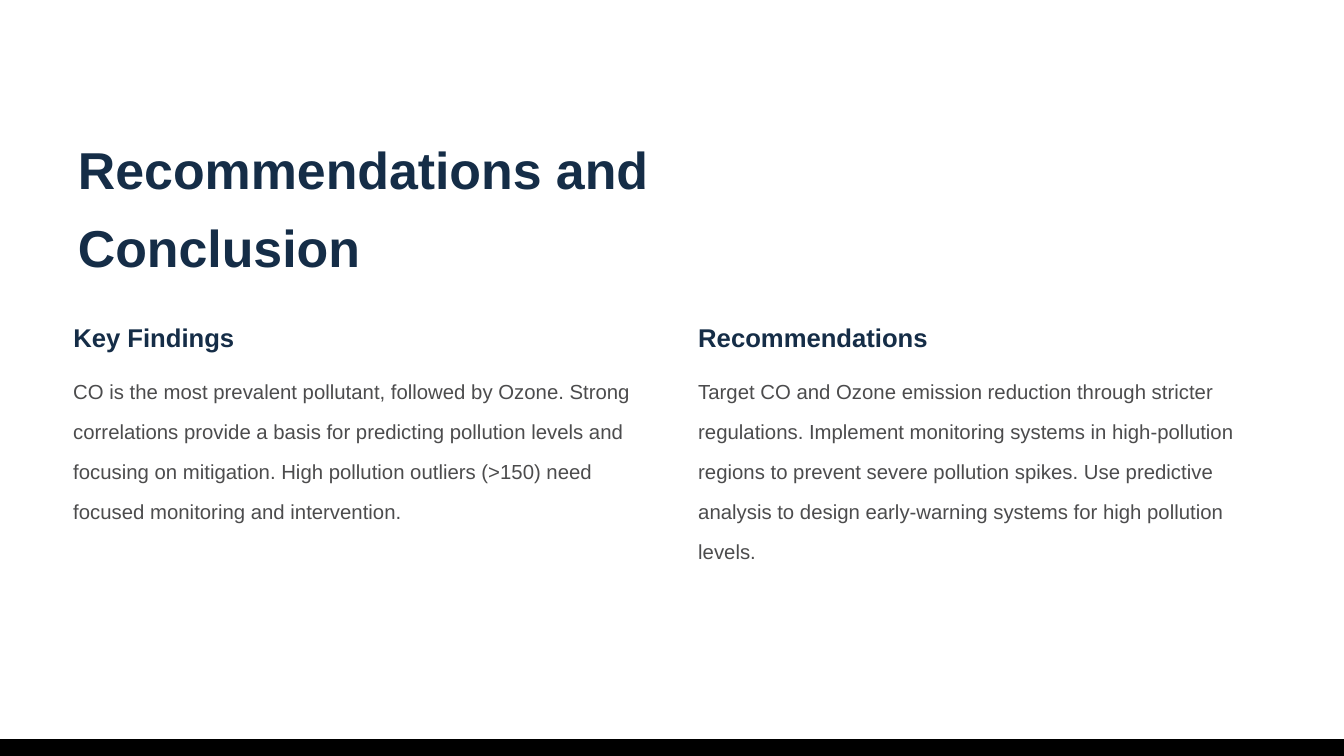
from pptx import Presentation
from pptx import util as u
from pptx.dml import color
from pptx.enum import text

COLORS = {"backdrop": "000000", "page": "FFFFFF", "heading": "152D47", "body": "4C4C4D"}
STYLES = {
    "title": {"size": 55.55, "spacing": 1.25, "color": "heading", "bold": True},
    "heading": {"size": 27.5, "spacing": 1.25, "color": "heading", "bold": True},
    "body": {"size": 21.8, "spacing": 1.63, "color": "body", "bold": False},
}

PAGE_WIDTH, PAGE_HEIGHT = 20, 11.25
TITLE = "Recommendations and Conclusion"
COLUMNS = [
    ("Key Findings",
     "CO is the most prevalent pollutant, followed by Ozone. Strong correlations "
     "provide a basis for predicting pollution levels and focusing on mitigation. "
     "High pollution outliers (>150) need focused monitoring and intervention.",
     2.08),
    ("Recommendations",
     "Target CO and Ozone emission reduction through stricter regulations. "
     "Implement monitoring systems in high-pollution regions to prevent severe "
     "pollution spikes. Use predictive analysis to design early-warning systems "
     "for high pollution levels.",
     2.57),
]
COLUMN_LEFT, COLUMN_STEP = 1.09, 9.3


def rgb(name):
    return color.RGBColor.from_string(COLORS[name])


def add_panel(page):
    builder = page.shapes.build_freeform(0, 0, scale=u.Inches(1))
    corners = [(PAGE_WIDTH, 0), (PAGE_WIDTH, PAGE_HEIGHT), (0, PAGE_HEIGHT)]
    builder.add_line_segments(corners, close=True)
    panel = builder.convert_to_shape()
    panel.shadow.inherit = False
    panel.fill.solid()
    panel.fill.fore_color.rgb = rgb("page")
    panel.line.fill.background()


def add_text(page, words, style_name, left, top, width, height):
    style = STYLES[style_name]
    box = page.shapes.add_textbox(*map(u.Inches, (left, top, width, height)))
    frame = box.text_frame
    frame.margin_left = frame.margin_right = 0
    frame.margin_top = frame.margin_bottom = 0
    frame.word_wrap = True
    frame.auto_size = text.MSO_AUTO_SIZE.SHAPE_TO_FIT_TEXT
    frame.text = words
    para = frame.paragraphs[0]
    para.line_spacing = style["spacing"]
    font = para.runs[0].font
    font.name = "Arial"
    font.size = u.Pt(style["size"])
    font.bold = style["bold"]
    font.color.rgb = rgb(style["color"])


def main():
    deck = Presentation()
    deck.slide_width, deck.slide_height = u.Inches(PAGE_WIDTH), u.Inches(PAGE_HEIGHT)
    page = deck.slides.add_slide(deck.slide_layouts[6])
    page.background.fill.solid()
    page.background.fill.fore_color.rgb = rgb("backdrop")
    add_panel(page)

    add_text(page, TITLE, "title", 1.16, 1.82, 11.17, 1.03)
    for index, (heading, body, height) in enumerate(COLUMNS):
        left = COLUMN_LEFT + index * COLUMN_STEP
        add_text(page, heading, "heading", left, 4.68, 3.88, 0.53)
        add_text(page, body, "body", left, 5.42, 8.54, height)

    deck.save("out.pptx")


if __name__ == "__main__":
    main()
